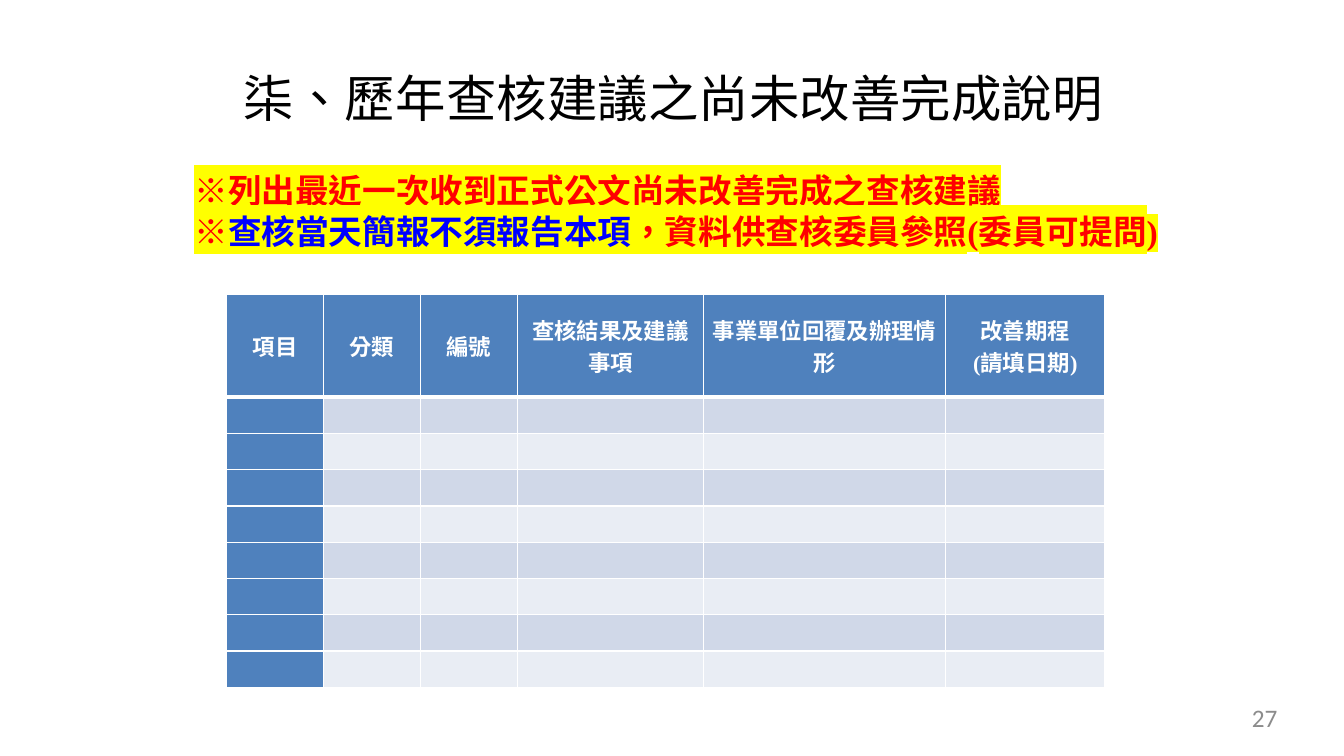
from lxml import etree
from pptx import Presentation
from pptx.dml.color import RGBColor
from pptx.enum.text import MSO_ANCHOR, PP_ALIGN
from pptx.oxml.ns import qn
from pptx.util import Inches, Pt

CENTER, RIGHT, LEFT = PP_ALIGN.CENTER, PP_ALIGN.RIGHT, PP_ALIGN.LEFT
MIDDLE = MSO_ANCHOR.MIDDLE

WIDTH, HEIGHT = 13.33, 7.5
SANS, SERIF, NUMBER = "Noto Sans CJK SC", "Times New Roman", "Calibri"
WHITE, RED, BLUE, YELLOW = "FFFFFF", "FF0000", "0000FF", "FFFF00"
HEADER_FILL, BANDS = "4F81BD", ("D0D8E8", "E9EDF4")

TITLE = "柒、歷年查核建議之尚未改善完成說明"
NOTES = [
    [("※列出最近一次收到正式公文尚未改善完成之查核建議", RED)],
    [("※", RED), ("查核當天簡報不須報告本項", BLUE),
     ("，資料供查核委員參照(委員可提問)", RED)],
]
PAGE_NUMBER = "27"
COLUMNS = [
    (["項目"], 0.96),
    (["分類"], 0.96),
    (["編號"], 0.96),
    (["查核結果及建議事項"], 1.85),
    (["事業單位回覆及辦理情形"], 2.4),
    (["改善期程", "(請填日期)"], 1.58),
]
BODY_ROWS, HEADER_HEIGHT, ROW_HEIGHT = 8, 1.02, 0.36
TABLE_LEFT, TABLE_TOP = 2.25, 2.92


def color(code):
    return RGBColor.from_string(code)


def add_span(para, text, size, face, ink, bold=False, highlight=None, spacing=None):
    span = para.add_run()
    span.text = text
    font = span.font
    font.size, font.bold, font.name = Pt(size), bold, face
    font.color.rgb = color(ink)
    properties = span._r.get_or_add_rPr()
    properties.set("lang", "zh-TW")
    if spacing:
        properties.set("spc", str(spacing))
    latin = properties.find(qn("a:latin"))
    if highlight:
        mark = etree.Element(qn("a:highlight"))
        etree.SubElement(mark, qn("a:srgbClr"), val=highlight)
        latin.addprevious(mark)
    latin.addnext(etree.Element(qn("a:ea"), typeface=SANS))


def write(frame, lines, align, size, face, **style):
    for index, line in enumerate(lines):
        para = frame.add_paragraph() if index else frame.paragraphs[0]
        para.alignment = align
        for text, ink in line:
            add_span(para, text, size, face, ink, **style)


def add_box(page, left, top, width, height, inset_x=0, inset_y=0):
    box = page.shapes.add_textbox(*map(Inches, (left, top, width, height)))
    frame = box.text_frame
    frame.word_wrap = True
    frame.margin_left = frame.margin_right = Inches(inset_x)
    frame.margin_top = frame.margin_bottom = Inches(inset_y)
    return frame


def set_borders(cell, bottom):
    properties = cell._tc.get_or_add_tcPr()
    for index, (side, points) in enumerate(
            [("lnL", 1), ("lnR", 1), ("lnT", 1), ("lnB", bottom)]):
        line = etree.Element(qn(f"a:{side}"), w=str(Pt(points)))
        fill = etree.SubElement(line, qn("a:solidFill"))
        etree.SubElement(fill, qn("a:srgbClr"), val=WHITE)
        properties.insert(index, line)


def add_grid(page):
    heights = [HEADER_HEIGHT] + [ROW_HEIGHT] * BODY_ROWS
    total_width = sum(width for _, width in COLUMNS)
    grid = page.shapes.add_table(
        len(heights), len(COLUMNS), Inches(TABLE_LEFT), Inches(TABLE_TOP),
        Inches(total_width), Inches(sum(heights))).table
    for row, height in zip(grid.rows, heights):
        row.height = Inches(height)
    for index, (heading, width) in enumerate(COLUMNS):
        grid.columns[index].width = Inches(width)
        for row in range(len(heights)):
            cell = grid.cell(row, index)
            is_header = row == 0
            cell.fill.solid()
            cell.fill.fore_color.rgb = color(
                HEADER_FILL if is_header or index == 0 else BANDS[(row - 1) % 2])
            cell.margin_left = cell.margin_right = Inches(0.07)
            cell.margin_top = cell.margin_bottom = 0
            cell.vertical_anchor = MIDDLE
            set_borders(cell, 3 if is_header else 1)
            if is_header:
                lines = [[(text, WHITE)] for text in heading]
                write(cell.text_frame, lines, CENTER, 16, SERIF, bold=True)
            else:
                cell.text_frame.paragraphs[0].font.size = Pt(12)


def main():
    deck = Presentation()
    deck.slide_width, deck.slide_height = Inches(WIDTH), Inches(HEIGHT)
    page = deck.slides.add_slide(deck.slide_layouts[6])

    title = add_box(page, 2.41, 0.67, 8.75, 0.61, inset_x=0.01)
    write(title, [[(TITLE, "000000")]], LEFT, 36, SANS, spacing=10)
    add_grid(page)
    number = add_box(page, 9.6, 6.97, 3.07, 0.3)
    write(number, [[(PAGE_NUMBER, "8C8C8C")]], RIGHT, 18, NUMBER)
    notes = add_box(page, 1.83, 1.64, 9.85, 0.91, 0.1, 0.05)
    write(notes, NOTES, LEFT, 24, SERIF, bold=True, highlight=YELLOW)

    deck.save("out.pptx")


if __name__ == "__main__":
    main()
